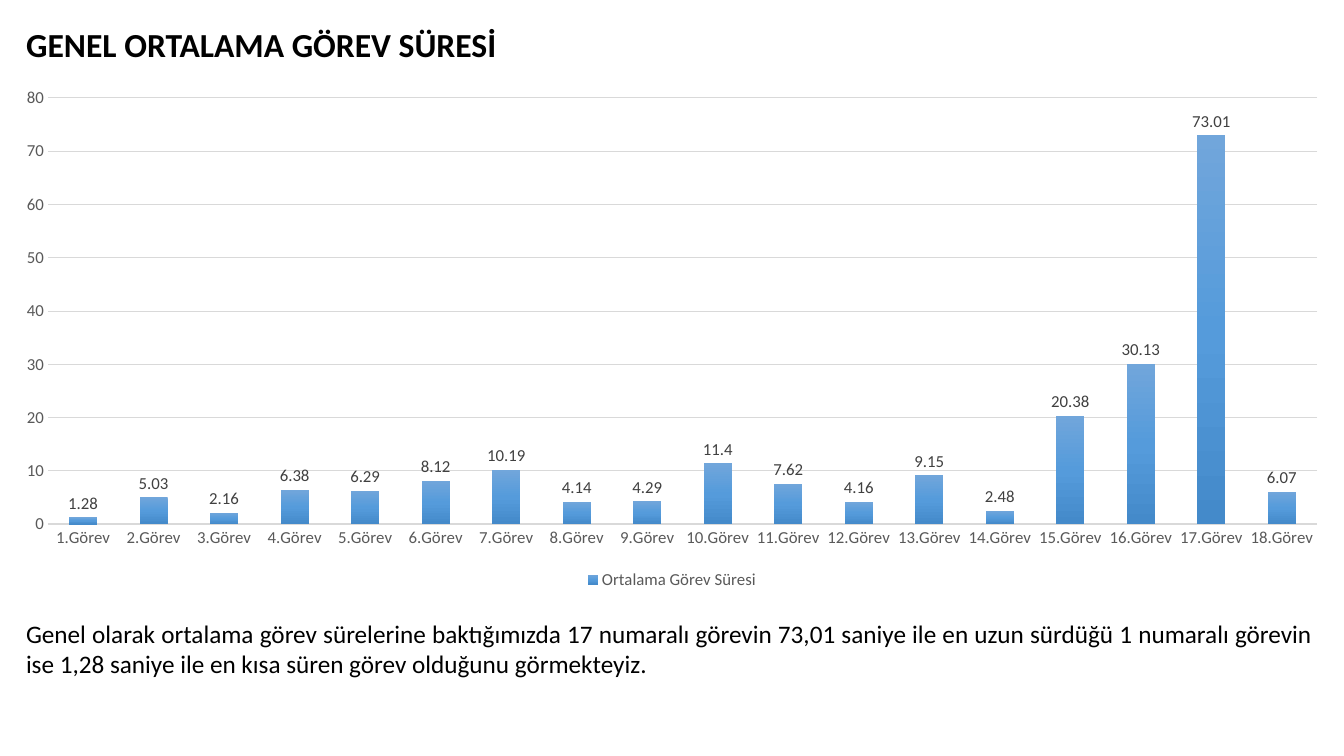
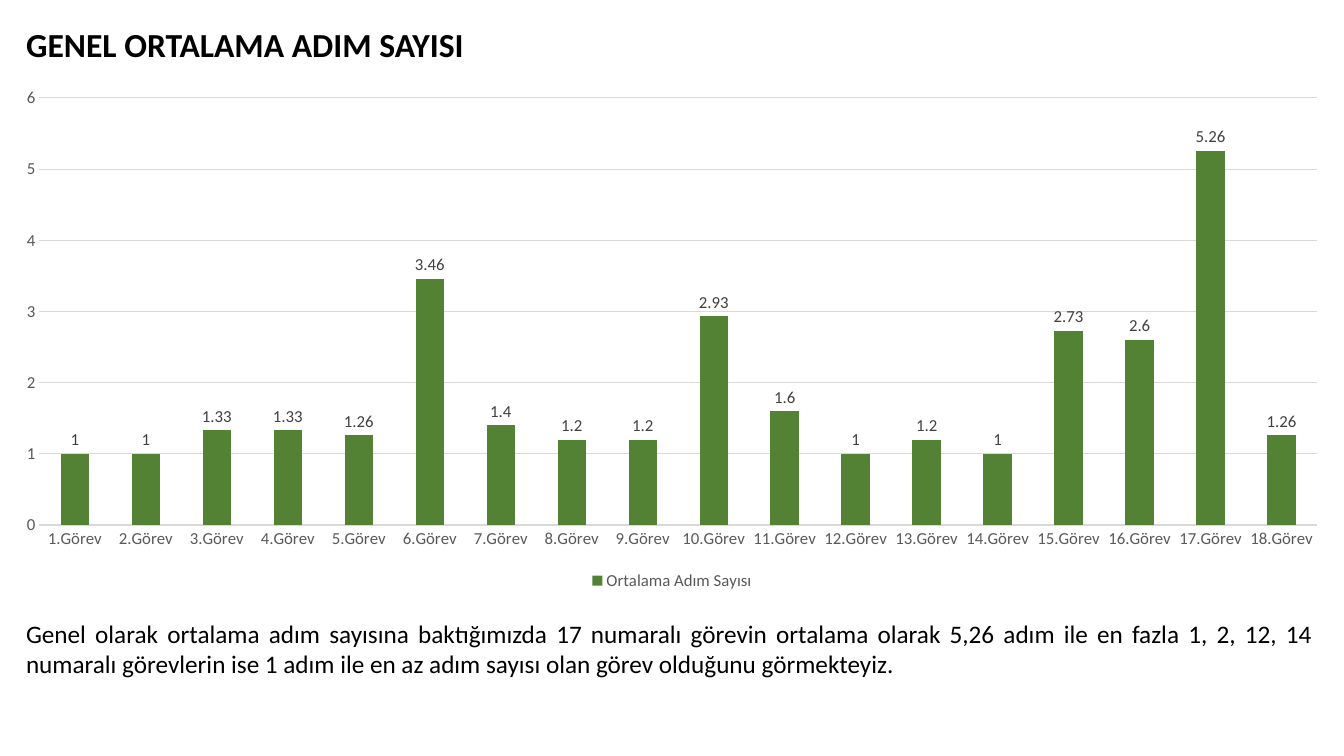
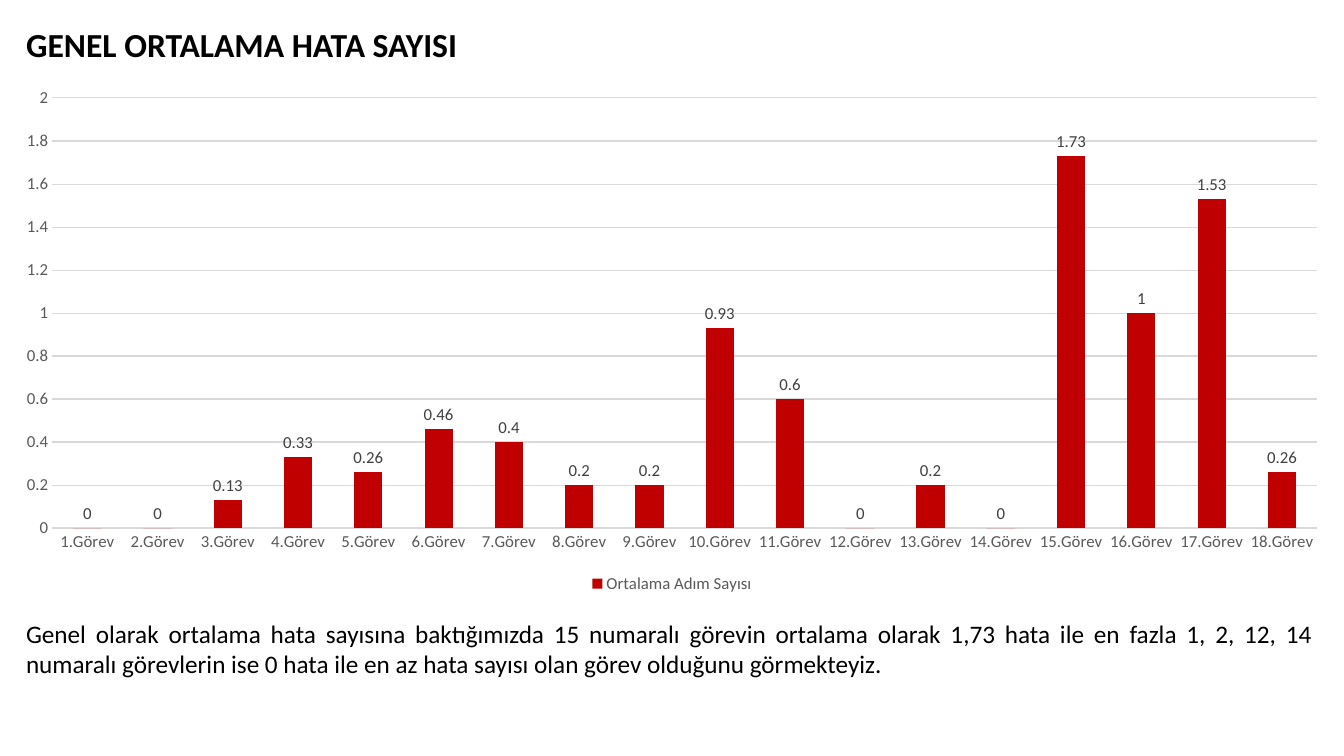
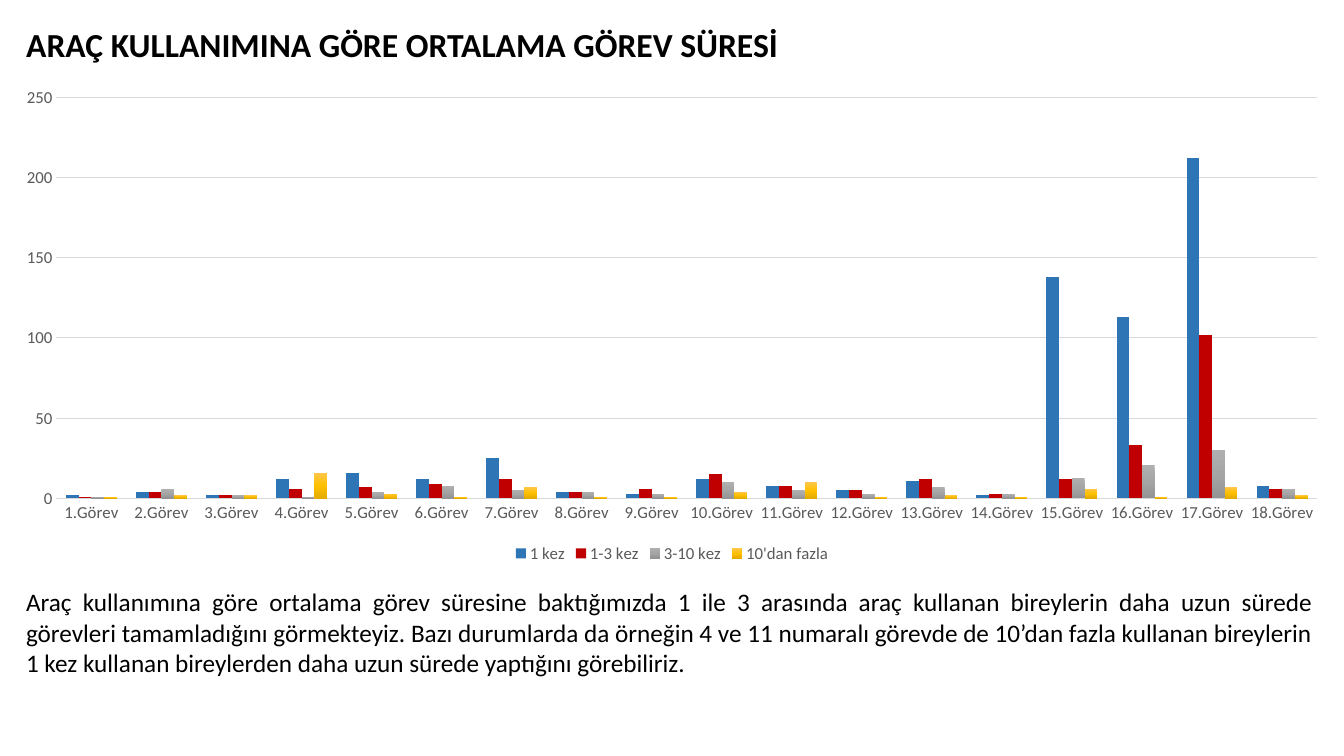
from dataclasses import dataclass

from pptx import Presentation
from pptx.chart.data import CategoryChartData
from pptx.dml.color import RGBColor
from pptx.enum.chart import XL_CHART_TYPE as ChartType, XL_LABEL_POSITION as LabelPosition
from pptx.enum.chart import XL_LEGEND_POSITION as LegendPosition, XL_TICK_MARK as TickMark
from pptx.enum.text import MSO_ANCHOR as Anchor, MSO_AUTO_SIZE as AutoSize, PP_ALIGN as Align
from pptx.oxml import parse_xml
from pptx.oxml.ns import nsdecls
from pptx.util import Inches, Pt


@dataclass(frozen=True)
class Theme:
    font: str = "Calibri"
    ink: str = "000000"
    axis_text: str = "595959"
    label_text: str = "404040"
    grid: str = "D9D9D9"
    title_size: int = 24
    body_size: int = 18
    chart_size: int = 12
    blue: str = "2E75B6"
    green: str = "548235"
    red: str = "C00000"
    # A tuple is a gradient, from top to bottom
    sky: tuple = ("71A6DB", "559BDB", "448ACA")
    gray: tuple = ("AFAFAF", "A5A5A5", "939393")
    gold: tuple = ("FFC64B", "FFC000", "E3AB00")


THEME = Theme()

# Layout, in inches
WIDTH, HEIGHT = 13.33, 7.5
MARGIN = 0.16
TEXT_WIDTH = 12.96
TITLE_TOP, TITLE_WIDTH, TITLE_HEIGHT = 0.19, 7.67, 0.5
CHART_TOP = 0.77

# Content: series are (name, colour, values); axis is (maximum, step);
# text is (top, height) of the paragraph below the chart
TASKS = [f"{number}.Görev" for number in range(1, 19)]
PAGES = [
    dict(
        title="GENEL ORTALAMA GÖREV SÜRESİ",
        body="Genel olarak ortalama görev sürelerine baktığımızda 17 numaralı görevin 73,01 saniye "
             "ile en uzun sürdüğü 1 numaralı görevin ise 1,28 saniye ile en kısa süren görev "
             "olduğunu görmekteyiz.",
        chart_height=5.12, text=(6.08, 0.71), axis=(80, 10),
        series=[("Ortalama Görev Süresi", THEME.sky,
                 [1.28, 5.03, 2.16, 6.38, 6.29, 8.12, 10.19, 4.14, 4.29,
                  11.4, 7.62, 4.16, 9.15, 2.48, 20.38, 30.13, 73.01, 6.07])],
    ),
    dict(
        title="GENEL ORTALAMA ADIM SAYISI",
        body="Genel olarak ortalama adım sayısına baktığımızda 17 numaralı görevin ortalama olarak "
             "5,26 adım ile en fazla 1, 2, 12, 14 numaralı görevlerin ise 1 adım ile en az adım "
             "sayısı olan görev olduğunu görmekteyiz.",
        chart_height=5.13, text=(6.08, 0.71), axis=(6, 1),
        series=[("Ortalama Adım Sayısı", THEME.green,
                 [1, 1, 1.33, 1.33, 1.26, 3.46, 1.4, 1.2, 1.2,
                  2.93, 1.6, 1, 1.2, 1, 2.73, 2.6, 5.26, 1.26])],
    ),
    dict(
        title="GENEL ORTALAMA HATA SAYISI",
        body="Genel olarak ortalama hata sayısına baktığımızda 15 numaralı görevin ortalama olarak "
             "1,73 hata ile en fazla 1, 2, 12, 14 numaralı görevlerin ise 0 hata ile en az hata "
             "sayısı olan görev olduğunu görmekteyiz.",
        chart_height=5.16, text=(6.08, 0.71), axis=(2, 0.2),
        series=[("Ortalama Adım Sayısı", THEME.red,
                 [0, 0, 0.13, 0.33, 0.26, 0.46, 0.4, 0.2, 0.2,
                  0.93, 0.6, 0, 0.2, 0, 1.73, 1, 1.53, 0.26])],
    ),
    dict(
        title="ARAÇ KULLANIMINA GÖRE ORTALAMA GÖREV SÜRESİ",
        body="Araç kullanımına göre ortalama görev süresine baktığımızda 1 ile 3 arasında araç "
             "kullanan bireylerin daha uzun sürede görevleri tamamladığını görmekteyiz. Bazı "
             "durumlarda da örneğin 4 ve 11 numaralı görevde de 10’dan fazla kullanan bireylerin "
             "1 kez kullanan bireylerden daha uzun sürede yaptığını görebiliriz.",
        chart_height=4.86, text=(5.77, 1.01), axis=(250, 50),
        series=[
            ("1 kez", THEME.blue,
             [2, 4, 2, 12, 16, 12, 25, 4, 3, 12, 8, 5, 11, 2, 138, 113, 212, 8]),
            ("1-3 kez", THEME.red,
             [1, 4, 2, 6, 7, 9, 12, 4, 6, 15, 8, 5, 12, 3, 12, 33, 102, 6]),
            ("3-10 kez", THEME.gray,
             [1, 6, 2, 1, 4, 8, 5, 4, 3, 10, 5, 3, 7, 3, 13, 21, 30, 6]),
            ("10'dan fazla", THEME.gold,
             [1, 2, 2, 16, 3, 1, 7, 1, 1, 4, 10, 1, 2, 1, 6, 1, 7, 2]),
        ],
    ),
]


def style_font(font, size, color, bold=False):
    font.name, font.size, font.bold = THEME.font, Pt(size), bold
    font.color.rgb = RGBColor.from_string(color)


def write(box, text, at, size, bold=False, align=Align.LEFT):
    """Place a box and fill it with one formatted paragraph."""
    box.left, box.top, box.width, box.height = map(Inches, at)
    frame = box.text_frame
    frame.word_wrap = True
    frame.auto_size = AutoSize.SHAPE_TO_FIT_TEXT
    frame.vertical_anchor = Anchor.TOP
    para = frame.paragraphs[0]
    para.alignment = align
    span = para.add_run()
    span.text = text
    style_font(span.font, size, THEME.ink, bold)


def paint(series, color):
    """Fill the bars with one colour, or with an evenly spaced gradient."""
    fill = series.format.fill
    if isinstance(color, str):
        fill.solid()
        fill.fore_color.rgb = RGBColor.from_string(color)
        return
    step = 100000 // (len(color) - 1)
    stops = "".join(f'<a:gs pos="{i * step}"><a:srgbClr val="{c}"/></a:gs>'
                    for i, c in enumerate(color))
    series._element.get_or_add_spPr().insert(0, parse_xml(
        f'<a:gradFill {nsdecls("a")} rotWithShape="1"><a:gsLst>{stops}</a:gsLst>'
        '<a:lin ang="5400000" scaled="0"/></a:gradFill>'))


def rule(line, width):
    line.color.rgb = RGBColor.from_string(THEME.grid)
    line.width = Pt(width)


def add_columns(page, height, series, axis):
    data = CategoryChartData()
    data.categories = TASKS
    for name, _, values in series:
        data.add_series(name, values)
    chart = page.shapes.add_chart(ChartType.COLUMN_CLUSTERED, 0, Inches(CHART_TOP),
                                  Inches(WIDTH), Inches(height), data).chart
    style_font(chart.font, THEME.chart_size, THEME.axis_text)
    chart.has_title = False

    # Legend
    chart.has_legend = True
    chart.legend.position = LegendPosition.BOTTOM
    chart.legend.include_in_layout = False
    style_font(chart.legend.font, THEME.chart_size, THEME.axis_text)

    # Axes
    tasks, values = chart.category_axis, chart.value_axis
    for each in (tasks, values):
        each.major_tick_mark = each.minor_tick_mark = TickMark.NONE
        style_font(each.tick_labels.font, THEME.chart_size, THEME.axis_text)
    rule(tasks.format.line, 1)
    rule(values.major_gridlines.format.line, 0.75)
    values.format.line.fill.background()
    values.minimum_scale = 0
    values.maximum_scale, values.major_unit = axis

    # Bars
    plot = chart.plots[0]
    plot.gap_width, plot.overlap, plot.vary_by_categories = 150, 0, False
    for bars, (_, color, _) in zip(plot.series, series):
        paint(bars, color)
    if len(series) == 1:
        plot.has_data_labels = True
        labels = plot.data_labels
        labels.show_value = True
        labels.position = LabelPosition.OUTSIDE_END
        style_font(labels.font, THEME.chart_size, THEME.label_text)


def main():
    deck = Presentation()
    deck.slide_width, deck.slide_height = Inches(WIDTH), Inches(HEIGHT)
    title_only = deck.slide_layouts[5]
    for content in PAGES:
        page = deck.slides.add_slide(title_only)
        add_columns(page, content["chart_height"], content["series"], content["axis"])
        write(page.shapes.title, content["title"],
              (MARGIN, TITLE_TOP, TITLE_WIDTH, TITLE_HEIGHT), THEME.title_size, bold=True)
        top, height = content["text"]
        write(page.shapes.add_textbox(0, 0, 0, 0), content["body"],
              (MARGIN, top, TEXT_WIDTH, height), THEME.body_size, align=Align.JUSTIFY)
    deck.save("out.pptx")


if __name__ == "__main__":
    main()
